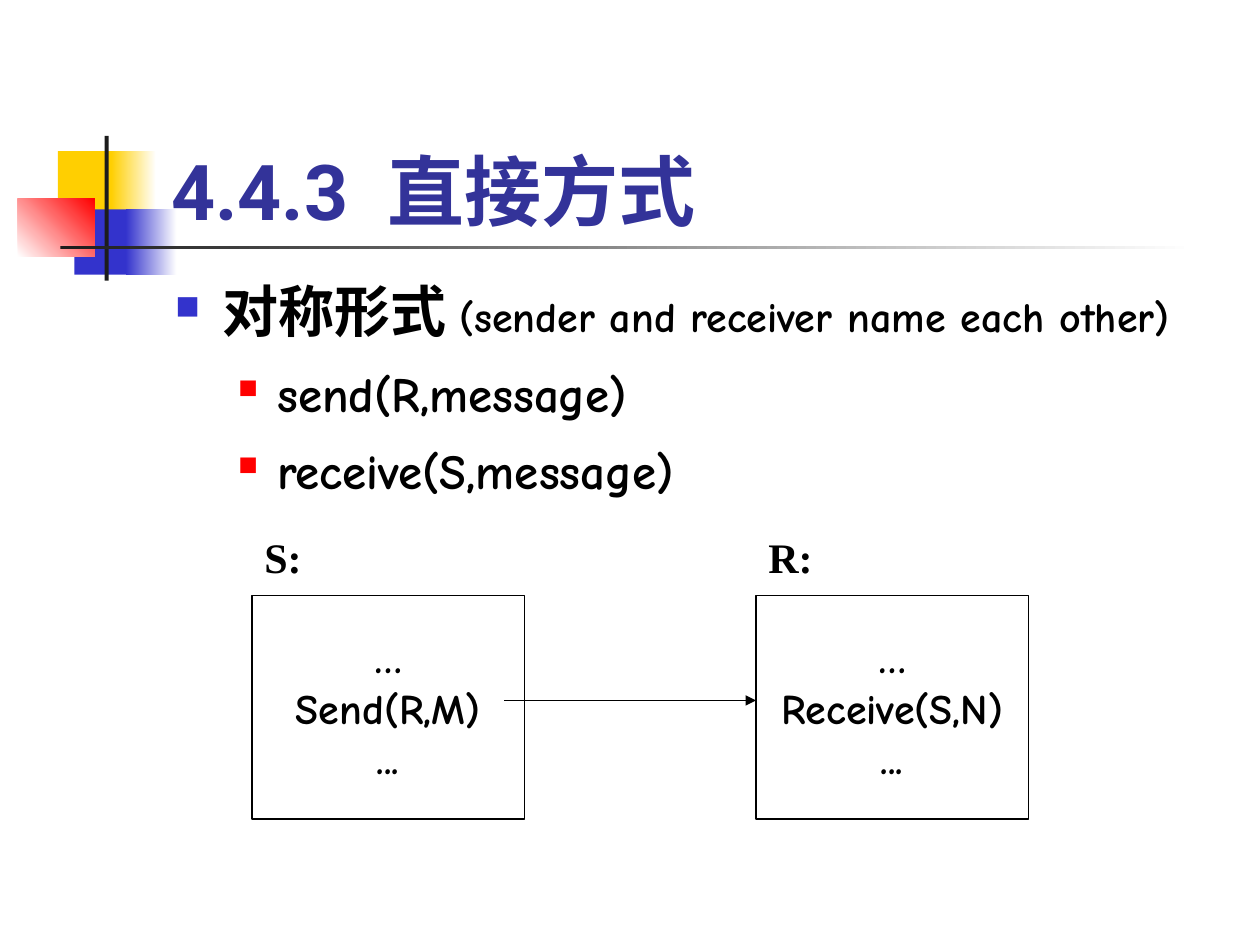
from lxml.etree import SubElement
from pptx import Presentation
from pptx.dml.color import RGBColor
from pptx.enum.shapes import MSO_CONNECTOR as CONN, MSO_SHAPE as SHAPE
from pptx.enum.text import MSO_ANCHOR as ANCHOR, MSO_AUTO_SIZE as FIT, PP_ALIGN as ALIGN
from pptx.oxml.ns import qn
from pptx.util import Cm, Pt

BLACK = RGBColor(0x00, 0x00, 0x00)
WHITE = RGBColor(0xFF, 0xFF, 0xFF)
YELLOW = RGBColor(0xFF, 0xCF, 0x01)
BLUE = RGBColor(0x33, 0x33, 0xCC)
RED = RGBColor(0xFF, 0x00, 0x00)
DARK = RGBColor(0x1C, 0x1C, 0x1C)
TITLE = RGBColor(0x33, 0x33, 0x99)
SANS, COMIC, SERIF = "Roboto", "Comic Neue", "Times New Roman"


def add_run(p, text, size, font, color=BLACK):
    r = p.add_run()
    r.text = text
    r.font.size = Pt(size)
    r.font.name = font
    r.font.bold = True
    r.font.color.rgb = color
    return r


def add_rect(s, box, color):
    sp = s.shapes.add_shape(SHAPE.RECTANGLE, *map(Cm, box))
    sp.shadow.inherit = False
    sp.line.fill.background()
    sp.fill.solid()
    sp.fill.fore_color.rgb = color
    return sp


def add_fade(s, box, start, end, angle=0):
    sp = add_rect(s, box, start)
    sp.fill.gradient()
    sp.fill.gradient_angle = angle
    for stop, color, position in zip(sp.fill.gradient_stops, (start, end), (0, 1)):
        stop.color.rgb = color
        stop.position = position


def add_ornament(s):
    add_rect(s, (1.17, 3.05, 1.22, 1.32), YELLOW)
    add_fade(s, (2.24, 3.05, 0.91, 1.32), YELLOW, WHITE)
    add_rect(s, (1.5, 4.22, 1.17, 1.32), BLUE)
    add_fade(s, (2.54, 4.22, 1.02, 1.32), BLUE, WHITE)
    add_fade(s, (0.36, 4.01, 1.55, 1.17), WHITE, RED, 45)
    add_rect(s, (2.11, 2.74, 0.08, 2.92), DARK)
    add_fade(s, (1.22, 4.95, 22.86, 0.08), DARK, WHITE)


def set_title(s):
    sp = s.shapes.title
    sp.left, sp.top, sp.width, sp.height = map(Cm, (3.2, 1.7, 21.64, 3.18))
    tf = sp.text_frame
    tf.auto_size = FIT.NONE
    tf.vertical_anchor = ANCHOR.BOTTOM
    p = tf.paragraphs[0]
    p.alignment = ALIGN.LEFT
    add_run(p, "4.4.3", 44, SANS, TITLE)
    gap = add_run(p, " ", 44, SANS, TITLE)
    gap.font._element.set("spc", "1100")
    add_run(p, "直接方式", 44, SANS, TITLE)


def add_textbox(s, box):
    tf = s.shapes.add_textbox(*map(Cm, box)).text_frame
    tf.word_wrap = True
    return tf


def set_bullet(p, color, percent, margin, hang):
    pPr = p._p.get_or_add_pPr()
    pPr.set("marL", str(Cm(margin)))
    pPr.set("indent", str(-Cm(hang)))
    clr = SubElement(pPr, qn("a:buClr"))
    SubElement(clr, qn("a:srgbClr"), val=str(color))
    SubElement(pPr, qn("a:buSzPct"), val=str(percent * 1000))
    SubElement(pPr, qn("a:buChar"), char="■")


def add_body(s):
    tf = add_textbox(s, (3.28, 5.61, 21.59, 5.54))
    p = tf.paragraphs[0]
    p.line_spacing = 0.9
    set_bullet(p, BLUE, 60, 0.95, 0.95)
    add_run(p, "对称形式 ", 32, SANS)
    add_run(p, "(sender and receiver name each other)", 24, COMIC)
    for text in ("send(R,message)", "receive(S,message)"):
        p = tf.add_paragraph()
        p.level = 1
        p.line_spacing = 1.1
        p.space_before = Pt(7)
        set_bullet(p, RED, 55, 2.06, 0.79)
        add_run(p, text, 28, COMIC)


def add_process(s, left, label, call):
    sp = add_rect(s, (left, 12.01, 5.49, 4.5), WHITE)
    sp.line.color.rgb = BLACK
    sp.line.width = Pt(0.75)
    tf = sp.text_frame
    tf.word_wrap = False
    tf.vertical_anchor = ANCHOR.MIDDLE
    for i, text in enumerate(("…", call, "...")):
        p = tf.add_paragraph() if i else tf.paragraphs[0]
        p.alignment = ALIGN.CENTER
        add_run(p, text, 24, COMIC)
    tf = add_textbox(s, (left, 10.59, 1.9, 1.27))
    add_run(tf.paragraphs[0], label, 24, SERIF)


def add_arrow(s, x1, x2, y):
    c = s.shapes.add_connector(CONN.STRAIGHT, Cm(x1), Cm(y), Cm(x2), Cm(y))
    c.line.color.rgb = BLACK
    c.line.width = Pt(0.75)
    SubElement(c.line._get_or_add_ln(), qn("a:tailEnd"), type="triangle")
    SubElement(c._element.spPr, qn("a:effectLst"))


def main():
    prs = Presentation()
    prs.slide_width, prs.slide_height = Cm(25.4), Cm(19.05)
    s = prs.slides.add_slide(prs.slide_layouts[5])
    add_ornament(s)
    set_title(s)
    add_body(s)
    add_process(s, 5.08, "S:", "Send(R,M)")
    add_process(s, 15.24, "R:", "Receive(S,N)")
    add_arrow(s, 10.16, 15.24, 14.12)
    prs.save("out.pptx")


if __name__ == "__main__":
    main()
